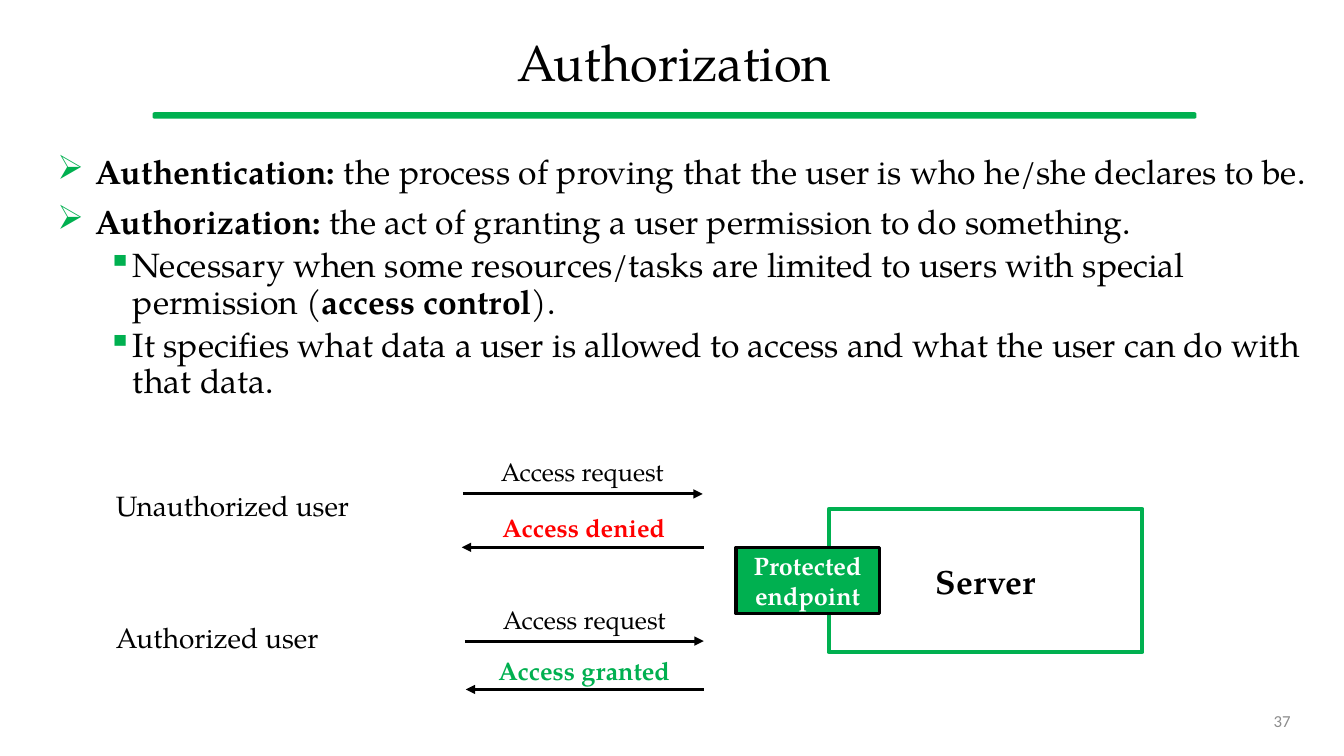
from lxml import etree
from pptx import Presentation
from pptx import util as u
from pptx.dml.color import RGBColor
from pptx.enum import shapes, text
from pptx.oxml.ns import qn

PX = 9144  # 100 px to the inch
SERIF = "TeX Gyre Pagella"
GREEN, BLACK, WHITE, RED, GREY = "00B050", "000000", "FFFFFF", "FF0000", "8C8C8C"
LEFT, CENTER, RIGHT = text.PP_ALIGN.LEFT, text.PP_ALIGN.CENTER, text.PP_ALIGN.RIGHT


def paint(color_format, color):
    color_format.rgb = RGBColor.from_string(color)


def write(shape, words, size, color=BLACK, bold=False, align=CENTER,
          anchor=text.MSO_ANCHOR.MIDDLE, font=SERIF):
    frame = shape.text_frame
    frame.text = words
    frame.word_wrap = True
    frame.vertical_anchor = anchor
    para = frame.paragraphs[0]
    para.alignment = align
    span = para.runs[0]
    span.font.name, span.font.size, span.font.bold = font, u.Pt(size), bold
    paint(span.font.color, color)


deck = Presentation()
deck.slide_width, deck.slide_height = 1333 * PX, 750 * PX
page = deck.slides.add_slide(deck.slide_layouts[5])

# Title
title = page.shapes.title
title.left, title.top, title.width, title.height = [n * PX for n in (47, 18, 1243, 94)]
write(title, "Authorization", 36)
title.text_frame.paragraphs[0].line_spacing = 0.9

# Definitions: level and runs, with the bold ones flagged
definitions = [
    (0, [("Authentication: ", True),
         ("the process of proving that the user is who he/she declares to be.", False)]),
    (0, [("Authorization: ", True),
         ("the act of granting a user permission to do something.", False)]),
    (1, [("Necessary when some resources/tasks are limited to users with special permission (", False),
         ("access control", True), (").", False)]),
    (1, [("It specifies what data a user is allowed to access and what the user can do with that data.",
          False)]),
]
bullets = [("➢", 38, 38, 10), ("▪", 75, 25, 5)]  # mark, margin, hanging, space before

body = page.shapes.add_textbox(47 * PX, 149 * PX, 1267 * PX, 271 * PX).text_frame
body.word_wrap = True
for index, (level, spans) in enumerate(definitions):
    para = body.add_paragraph() if index else body.paragraphs[0]
    mark, margin, hanging, before = bullets[level]
    para.level = level
    properties = para._p.get_or_add_pPr()
    properties.set("marL", str(margin * PX))
    properties.set("indent", str(-hanging * PX))
    bullet_color = etree.SubElement(properties, qn("a:buClr"))
    etree.SubElement(bullet_color, qn("a:srgbClr"), val=GREEN)
    etree.SubElement(properties, qn("a:buChar"), char=mark)
    para.line_spacing = 0.9
    para.space_before = u.Pt(before if index else 0)
    for words, bold in spans:
        span = para.add_run()
        span.text = words
        span.font.name, span.font.size, span.font.bold = SERIF, u.Pt(24), bold
        paint(span.font.color, BLACK)

# Title rule, server and its endpoint
rectangle = shapes.MSO_SHAPE.RECTANGLE
blocks = [
    (shapes.MSO_SHAPE.ROUNDED_RECTANGLE, (152, 112, 1034, 5), GREEN, GREEN, 1, None),
    (rectangle, (822, 505, 311, 142), WHITE, GREEN, 3, ("Server", 24, BLACK, True)),
    (rectangle, (730, 543, 142, 66), GREEN, BLACK, 2.25, ("Protected endpoint", 18, WHITE, True)),
]
for kind, place, fill, outline, weight, label in blocks:
    block = page.shapes.add_shape(kind, *[n * PX for n in place])
    block.shadow.inherit = False
    block.fill.solid()
    paint(block.fill.fore_color, fill)
    paint(block.line.color, outline)
    block.line.width = u.Pt(weight)
    if label:
        write(block, *label)
    else:
        block.adjustments[0] = 0.26

# Messages between users and server
for start, end, y in [(459, 697, 490), (698, 458, 543), (461, 698, 636), (698, 462, 684)]:
    arrow = page.shapes.add_connector(shapes.MSO_CONNECTOR.STRAIGHT,
                                      start * PX, y * PX, end * PX, y * PX)
    paint(arrow.line.color, BLACK)
    arrow.line.width = u.Pt(2.25)
    etree.SubElement(arrow.line._get_or_add_ln(), qn("a:tailEnd"), type="triangle")
    etree.SubElement(arrow._element.spPr, qn("a:effectLst"))

top = text.MSO_ANCHOR.TOP
labels = [
    ((459, 448, 237, 40), ("Access request", 18, BLACK, False, CENTER, top)),
    ((459, 503, 240, 40), ("Access denied", 18, RED, True, CENTER, top)),
    ((461, 595, 237, 40), ("Access request", 18, BLACK, False, CENTER, top)),
    ((461, 645, 237, 40), ("Access granted", 18, GREEN, True, CENTER, top)),
    ((105, 480, 252, 44), ("Unauthorized user", 20, BLACK, False, LEFT, top)),
    ((105, 611, 252, 44), ("Authorized user", 20, BLACK, False, LEFT, top)),
    ((942, 695, 348, 40), ("37", 12, GREY, False, RIGHT, text.MSO_ANCHOR.MIDDLE, "Calibri")),
]
for place, label in labels:
    write(page.shapes.add_textbox(*[n * PX for n in place]), *label)

deck.save("out.pptx")
